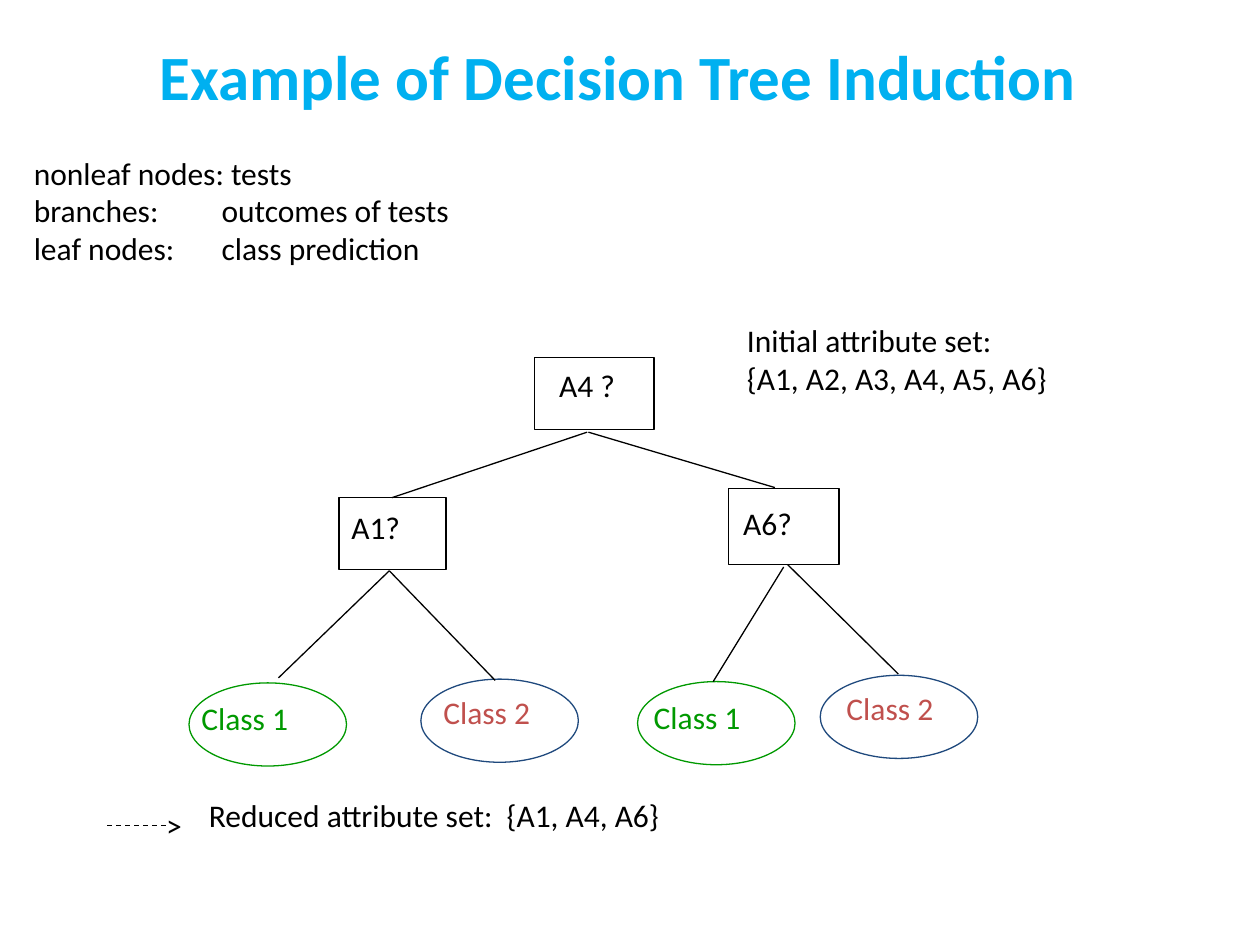
from dataclasses import dataclass

from lxml import etree
from pptx import Presentation
from pptx.dml.color import RGBColor
from pptx.enum.dml import MSO_LINE
from pptx.enum.shapes import MSO_CONNECTOR, MSO_SHAPE
from pptx.oxml.ns import qn
from pptx.util import Inches, Pt

RECT, OVAL = MSO_SHAPE.RECTANGLE, MSO_SHAPE.OVAL
LINE, DASH = MSO_CONNECTOR.STRAIGHT, MSO_LINE.DASH
COLS, ROWS = 100, 75


@dataclass(frozen=True)
class Theme:
    font: str = "Calibri"
    title: str = "00B0F0"
    ink: str = "000000"
    green: str = "009900"
    red: str = "C0504D"
    navy: str = "1F497D"
    big: int = 36
    body: int = 18
    rule: float = 0.75


class Deck:
    """Draws on one slide; lengths are columns and rows of the grid."""

    def __init__(self, theme):
        self.theme = theme
        self.prs = Presentation()
        self.prs.slide_width, self.prs.slide_height = Inches(10), Inches(7.5)
        self.slide = self.prs.slides.add_slide(self.prs.slide_layouts[6])

    def col(self, n):
        return round(self.prs.slide_width * n / COLS)

    def row(self, n):
        return round(self.prs.slide_height * n / ROWS)

    def area(self, x, y, w, h):
        return self.col(x), self.row(y), self.col(w), self.row(h)

    def ink(self, line, color):
        line.color.rgb = RGBColor.from_string(color)
        line.width = Pt(self.theme.rule)

    def text(self, words, area, color=None, size=None, bold=False, wrap=False, tab=None):
        frame = self.slide.shapes.add_textbox(*self.area(*area)).text_frame
        frame.word_wrap = wrap
        frame.text = words
        for para in frame.paragraphs:
            if tab:
                tabs = etree.SubElement(para._p.get_or_add_pPr(), qn("a:tabLst"))
                etree.SubElement(tabs, qn("a:tab"), pos=str(self.col(tab)), algn="l")
            for run in para.runs:
                font = run.font
                font.name, font.bold = self.theme.font, bold
                font.size = Pt(size or self.theme.body)
                font.color.rgb = RGBColor.from_string(color or self.theme.ink)

    def node(self, kind, area, color):
        shape = self.slide.shapes.add_shape(kind, *self.area(*area))
        shape.shadow.inherit = False
        shape.fill.background()
        self.ink(shape.line, color)

    def link(self, x1, y1, x2, y2, dash=None):
        wire = self.slide.shapes.add_connector(
            LINE, self.col(x1), self.row(y1), self.col(x2), self.row(y2))
        self.ink(wire.line, self.theme.ink)
        if dash:
            wire.line.dash_style = dash
        etree.SubElement(wire._element.spPr, qn("a:effectLst"))


def main():
    theme = Theme()
    deck = Deck(theme)

    deck.text("Example of Decision Tree Induction", (11.7, 2.5, 84.2, 7),
              theme.title, theme.big, bold=True, wrap=True)
    deck.text("nonleaf nodes: tests\nbranches:\toutcomes of tests\n"
              "leaf nodes:\tclass prediction", (1.7, 11.7, 90, 13), wrap=True, tab=14.9)
    deck.text("Initial attribute set:\n{A1, A2, A3, A4, A5, A6}", (58.3, 25, 38, 9))

    tests = [
        ("A4 ?", (42.4, 28.4, 9.5, 5.7), (43.4, 28.6, 9.7, 5)),
        ("A1?", (26.9, 39.5, 8.5, 5.7), (26.9, 39.8, 7.6, 5)),
        ("A6?", (57.8, 38.8, 8.8, 6), (58, 39.5, 7.6, 5)),
    ]
    for words, box, label in tests:
        deck.node(RECT, box, theme.ink)
        deck.text(words, label)

    first = ("Class 1", theme.green, theme.green)
    second = ("Class 2", theme.navy, theme.red)
    leaves = [
        (first, (15, 54.2), (15, 55)),
        (second, (33.4, 53.9), (34.2, 54.5)),
        (first, (50.6, 54.1), (50.9, 54.9)),
        (second, (65.1, 53.6), (66.2, 54.2)),
    ]
    for (words, edge, color), oval, label in leaves:
        deck.node(OVAL, (*oval, 12.5, 6.6), edge)
        deck.text(words, (*label, 11.7, 5), color)

    links = [
        (46.6, 34.3, 31.1, 39.5), (46.7, 34.3, 61.5, 38.7),
        (30.9, 45.3, 22.1, 53.8), (30.9, 45.3, 39.3, 54),
        (62.2, 45, 56.6, 54.1), (62.5, 44.8, 71.3, 53.5),
    ]
    for ends in links:
        deck.link(*ends)

    deck.link(8.5, 65.5, 13.3, 65.5, DASH)
    deck.text(">", (12.2, 63.5, 3.4, 4))
    deck.text("Reduced attribute set:  {A1, A4, A6}", (15.6, 62.7, 51.5, 5))
    deck.prs.save("out.pptx")


if __name__ == "__main__":
    main()
